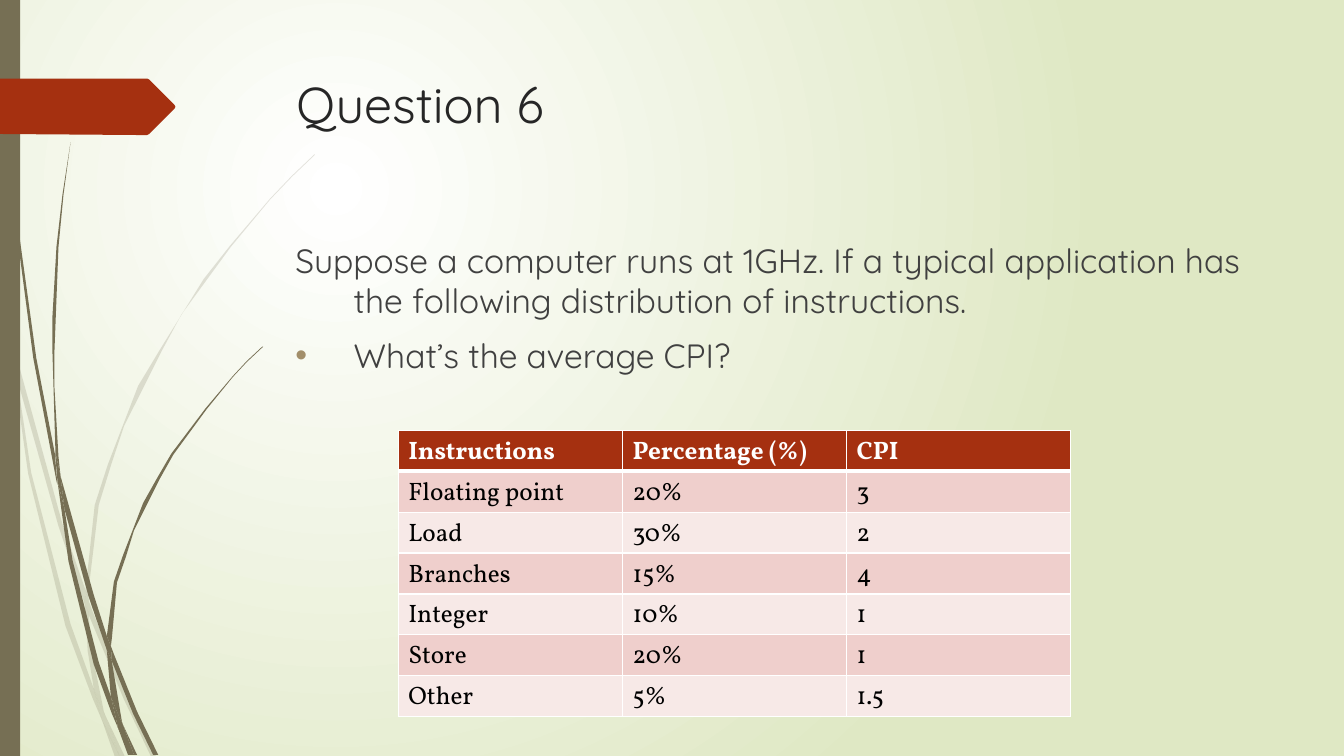
from lxml import etree
from pptx import Presentation
from pptx.dml.color import RGBColor
from pptx.enum.shapes import MSO_SHAPE
from pptx.enum.text import MSO_ANCHOR, MSO_AUTO_SIZE, PP_ALIGN
from pptx.oxml import parse_xml
from pptx.oxml.ns import nsdecls, qn
from pptx.util import Inches, Pt

COLORS = {
    "white": "FFFFFF", "meadow": "DFE8C4", "grass": "766F54", "rust": "A53010",
    "title": "262626", "body": "404040", "bullet": "A28E6A", "black": "000000",
    "dark_band": "EFCFCC", "light_band": "F7E9E7",
}
HEADING_FONT, TABLE_FONT = "Quicksand", "Vollkorn"

# Outline points are in hundredths of an inch.
FAINT_GRASS = [
    [(11, 350), (9, 322), (0, 282), (0, 299), (10, 344)],
    [(58, 522), (84, 599), (85, 586), (62, 520), (14, 345), (17, 376)],
    [(92, 607), (88, 596), (88, 610), (123, 694), (150, 751), (155, 751), (127, 692)],
    [(119, 751), (124, 751), (105, 711)],
    [(93, 683), (70, 619), (31, 469), (17, 376), (11, 350), (28, 470), (65, 621),
     (92, 693), (101, 714), (99, 707)],
    [(84, 599), (87, 646), (93, 683), (96, 692), (105, 711), (103, 706), (91, 646),
     (88, 610), (88, 608)],
    [(88, 584), (98, 501), (110, 462), (123, 423), (160, 349), (180, 312), (229, 245),
     (268, 198), (290, 175), (312, 154), (312, 153), (289, 175), (268, 197), (228, 244),
     (202, 277), (158, 348), (137, 383), (107, 461), (94, 501), (85, 584), (85, 586),
     (88, 596)],
    [(101, 714), (114, 751), (119, 751)],
    [(88, 608), (88, 610), (88, 596), (85, 586), (84, 599)],
    [(96, 692), (93, 683), (99, 707), (101, 714), (119, 751), (105, 711)],
]
SOLID_GRASS = [
    [(7, 110), (17, 233), (33, 355), (56, 477), (57, 481), (55, 457), (55, 453),
     (36, 355), (19, 232), (8, 109), (5, 48), (4, 0), (3, 0), (4, 48)],
    [(88, 592), (106, 645), (106, 631), (93, 590), (60, 472), (64, 505)],
    [(113, 649), (110, 641), (111, 656), (132, 708), (152, 749), (157, 749), (136, 706)],
    [(110, 691), (98, 657), (72, 556), (64, 505), (57, 477), (68, 557), (93, 659),
     (111, 708), (117, 722), (116, 717)],
    [(60, 472), (58, 453), (54, 384), (54, 349), (58, 245), (63, 193), (70, 141),
     (62, 193), (56, 245), (52, 314), (52, 349), (55, 449)],
    [(133, 749), (136, 749), (122, 719)],
    [(57, 477), (64, 505), (60, 472), (55, 449), (55, 453)],
    [(111, 633), (116, 578), (125, 552), (133, 526), (158, 476), (172, 451), (205, 406),
     (231, 374), (245, 359), (261, 344), (260, 344), (245, 358), (231, 373), (204, 405),
     (170, 450), (156, 474), (142, 499), (122, 551), (113, 577), (106, 631), (110, 641)],
    [(117, 722), (127, 749), (131, 749)],
    [(106, 645), (110, 691), (116, 706), (122, 719), (121, 716), (111, 656), (109, 651)],
    [(106, 645), (109, 651), (111, 656), (110, 641), (106, 631)],
    [(116, 706), (110, 691), (116, 717), (117, 722), (130, 749), (133, 749), (122, 719)],
]
RUST_ARROW = [(173, 108), (148, 133), (146, 134), (136, 134), (0, 133), (0, 78),
              (146, 78), (148, 79), (173, 104), (174, 106)]
INSTRUCTION_MIX = [
    ("Instructions", "Percentage (%)", "CPI"),
    ("Floating point", "20%", "3"),
    ("Load", "30%", "2"),
    ("Branches", "15%", "4"),
    ("Integer", "10%", "1"),
    ("Store", "20%", "1"),
    ("Other", "5%", "1.5"),
]


def rgb(color):
    return RGBColor.from_string(COLORS[color])


def write_text(paragraph, text, font, size, color, bold=False):
    run = paragraph.add_run()
    run.text = text
    run.font.name = font
    run.font.size = Pt(size)
    run.font.bold = bold
    run.font.color.rgb = rgb(color)


def paint_background(slide):
    fill = slide.background.fill
    fill.gradient()
    for stop, color in zip(fill.gradient_stops, ("white", "meadow")):
        stop.color.rgb = rgb(color)
    gradient = slide.element.find(".//" + qn("a:gradFill"))
    gradient.replace(gradient.find(qn("a:lin")), parse_xml(
        f'<a:path {nsdecls("a")} path="circle">'
        '<a:fillToRect l="50000" t="50000" r="100000" b="100000"/></a:path>'))


def fill_plain(shape, color, opacity=100):
    shape.shadow.inherit = False
    shape.fill.solid()
    shape.fill.fore_color.rgb = rgb(color)
    shape.line.fill.background()
    if opacity < 100:
        tint = shape.element.spPr.find(".//" + qn("a:srgbClr"))
        etree.SubElement(tint, qn("a:alpha"), val=str(opacity * 1000))


def add_outline(slide, points, color, opacity=100):
    builder = slide.shapes.build_freeform(*points[0], scale=Inches(0.01))
    builder.add_line_segments(points[1:], close=True)
    fill_plain(builder.convert_to_shape(), color, opacity)


def place_title(slide, text):
    title = slide.shapes.title
    title.left, title.top = Inches(2.84), Inches(0.68)
    title.width, title.height = Inches(9.75), Inches(1.4)
    frame = title.text_frame
    frame.auto_size = MSO_AUTO_SIZE.NONE
    frame.vertical_anchor = MSO_ANCHOR.TOP
    frame.paragraphs[0].alignment = PP_ALIGN.LEFT
    write_text(frame.paragraphs[0], text, HEADING_FONT, 36, "title")


def format_question(paragraph, text, space_before, bullet=False):
    paragraph.space_before = Pt(space_before)
    write_text(paragraph, text, HEADING_FONT, 24, "body")
    properties = paragraph._p.get_or_add_pPr()
    properties.set("marL", str(Inches(0.58)))
    properties.set("indent", str(-Inches(0.58)))
    if bullet:
        bullet_color = etree.SubElement(properties, qn("a:buClr"))
        etree.SubElement(bullet_color, qn("a:srgbClr"), val=COLORS["bullet"])
        etree.SubElement(properties, qn("a:buFont"), typeface="Arial")
        etree.SubElement(properties, qn("a:buChar"), char="•")


def add_question(slide):
    frame = slide.shapes.add_textbox(
        Inches(2.83), Inches(2.33), Inches(9.75), Inches(4.13)).text_frame
    frame.word_wrap = True
    format_question(
        frame.paragraphs[0],
        "Suppose a computer runs at 1GHz. If a typical application has "
        "the following distribution of instructions.", 8)
    format_question(frame.add_paragraph(), "What’s the average CPI?", 10, bullet=True)


def add_borders(cell, **widths):
    properties = cell._tc.get_or_add_tcPr()
    for side in "LRTB":
        border = etree.SubElement(
            properties, qn(f"a:ln{side}"), w=str(Pt(widths.get(side, 1))))
        solid = etree.SubElement(border, qn("a:solidFill"))
        etree.SubElement(solid, qn("a:srgbClr"), val=COLORS["white"])


def add_instruction_table(slide):
    table = slide.shapes.add_table(
        len(INSTRUCTION_MIX), 3, Inches(3.95), Inches(4.27),
        Inches(6.67), Inches(2.84)).table
    for row, values in enumerate(INSTRUCTION_MIX):
        header = row == 0
        band = "rust" if header else "dark_band" if row % 2 else "light_band"
        for column, value in enumerate(values):
            cell = table.cell(row, column)
            add_borders(cell, T=3 if row == 1 else 1, B=3 if header else 1)
            cell.fill.solid()
            cell.fill.fore_color.rgb = rgb(band)
            write_text(cell.text_frame.paragraphs[0], value, TABLE_FONT, 18,
                       "white" if header else "black", bold=header)


def main():
    presentation = Presentation()
    presentation.slide_width, presentation.slide_height = Inches(13.33), Inches(7.5)
    slide = presentation.slides.add_slide(presentation.slide_layouts[5])
    paint_background(slide)
    for blade in FAINT_GRASS:
        add_outline(slide, blade, "grass", opacity=20)
    for blade in SOLID_GRASS:
        add_outline(slide, blade, "grass")
    side_bar = slide.shapes.add_shape(MSO_SHAPE.RECTANGLE, 0, 0, Inches(0.2), Inches(7.5))
    fill_plain(side_bar, "grass")
    add_outline(slide, RUST_ARROW, "rust")
    place_title(slide, "Question 6")
    add_question(slide)
    add_instruction_table(slide)
    presentation.save("out.pptx")


if __name__ == "__main__":
    main()
